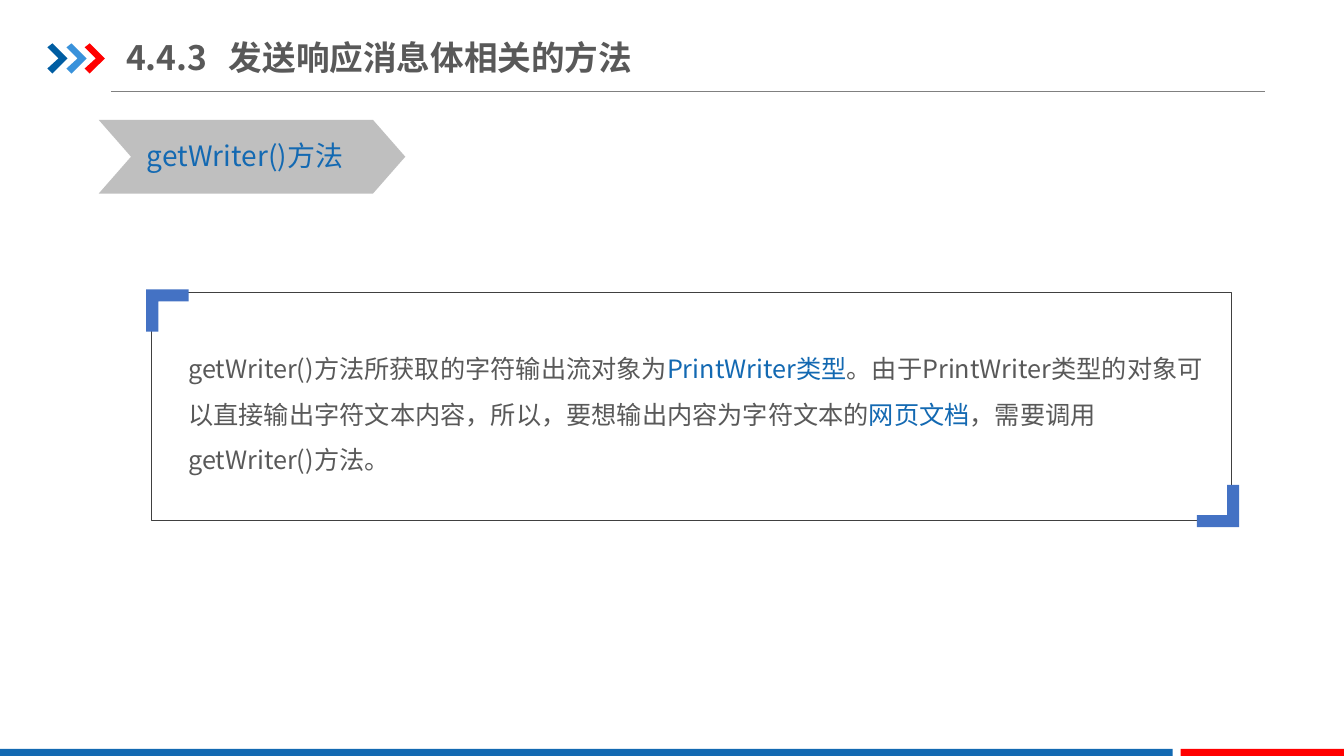
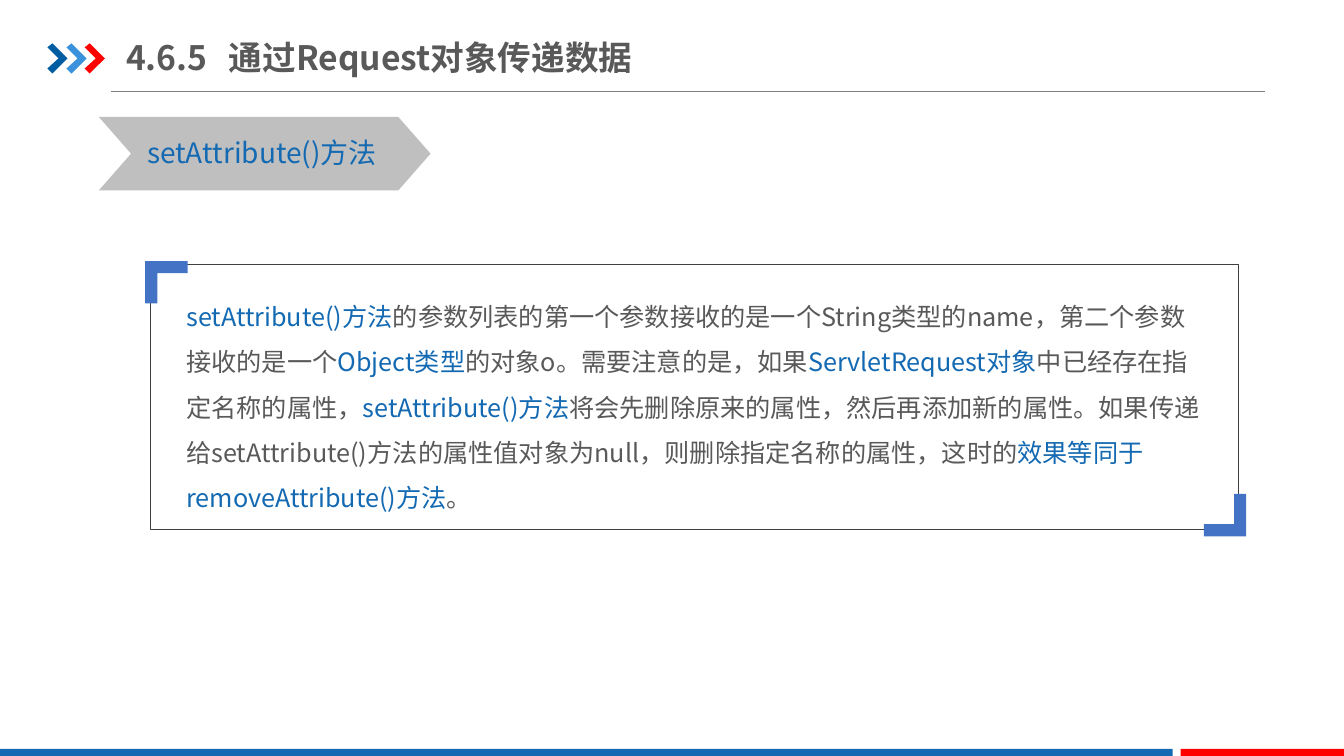
"""Build two method slides that share a title, a chevron label and a framed note."""
from dataclasses import dataclass
from typing import NamedTuple

from lxml.etree import SubElement as add_node
from pptx import Presentation
from pptx.dml.color import RGBColor
from pptx.enum.shapes import MSO_CONNECTOR as Link, MSO_SHAPE as Form
from pptx.enum.text import MSO_ANCHOR as Anchor, MSO_AUTO_SIZE as Fit, PP_ALIGN as Align
from pptx.oxml.ns import qn
from pptx.util import Pt

PX = 9144
FACE = "Noto Sans CJK SC"
BLUE = RGBColor(0x13, 0x69, 0xB2)
NAVY = RGBColor(0x00, 0x5D, 0xA2)
SKY = RGBColor(0x39, 0x92, 0xDB)
RED = RGBColor(0xFF, 0x00, 0x00)
ROYAL = RGBColor(0x44, 0x72, 0xC4)
TEXT = RGBColor(0x59, 0x59, 0x59)
FRAME = RGBColor(0x40, 0x40, 0x40)
RULE = RGBColor(0x80, 0x80, 0x80)
SILVER = RGBColor(0xBF, 0xBF, 0xBF)

ARROW = ((0, 4), (5, 0), (20, 15), (5, 30), (0, 25), (11, 15))
CORNER = ((0, 0), (42, 0), (42, 12), (12, 12), (12, 42), (0, 42))
MARKS = ((47, NAVY), (66, SKY), (84, RED))


class Box(NamedTuple):
    left: int
    top: int
    width: int
    height: int

    def emu(self) -> list[int]:
        return [side * PX for side in self]


BANDS = ((Box(0, 743, 1163, 9), BLUE), (Box(1171, 743, 163, 9), RED))
HEAD = Box(125, 29, 532, 55)


@dataclass(frozen=True)
class Page:
    title: str
    label: str
    tag: Box
    frame: Box
    body: Box
    note: str


PAGES = (
    Page(
        "4.4.3\t发送响应消息体相关的方法",
        "getWriter()方法",
        Box(98, 119, 304, 73),
        Box(150, 290, 1071, 226),
        Box(177, 331, 1030, 150),
        "getWriter()方法所获取的字符输出流对象为|PrintWriter类型|。由于PrintWriter类型的对象"
        "可以直接输出字符文本内容，所以，要想输出内容为字符文本的|网页文档|，需要调用getWriter()方法。",
    ),
    Page(
        "4.6.5\t通过Request对象传递数据",
        "setAttribute()方法",
        Box(98, 116, 329, 73),
        Box(149, 262, 1079, 263),
        Box(175, 279, 1030, 232),
        "|setAttribute()方法|的参数列表的第一个参数接收的是一个String类型的name，第二个参数接收的是一个"
        "|Object类型|的对象o。需要注意的是，如果|ServletRequest对象|中已经存在指定名称的属性，"
        "|setAttribute()方法|将会先删除原来的属性，然后再添加新的属性。如果传递给setAttribute()方法的"
        "属性值对象为null，则删除指定名称的属性，这时的|效果等同于removeAttribute()方法|。",
    ),
)


def paint(shape, fill: RGBColor) -> None:
    shape.shadow.inherit = False
    shape.fill.solid()
    shape.fill.fore_color.rgb = fill
    shape.line.fill.background()


def block(slide, form: Form, box: Box, fill: RGBColor):
    shape = slide.shapes.add_shape(form, *box.emu())
    paint(shape, fill)
    return shape


def outline(slide, left: int, top: int, points: tuple, fill: RGBColor, sign: int = 1) -> None:
    spots = [(left + sign * x, top + sign * y) for x, y in points]
    pen = slide.shapes.build_freeform(*spots[0], scale=PX)
    pen.add_line_segments(spots[1:], close=True)
    paint(pen.convert_to_shape(), fill)


def style(para, size: int, color: RGBColor, bold: bool = False) -> None:
    font = para.font
    font.size, font.bold, font.name = Pt(size), bold, FACE
    font.color.rgb = color
    base = para._p.get_or_add_pPr().find(qn("a:defRPr"))
    add_node(base, qn("a:ea"), typeface=FACE)


def text_box(slide, box: Box):
    frame = slide.shapes.add_textbox(*box.emu()).text_frame
    frame.word_wrap = True
    return frame.paragraphs[0]


def add_title(slide, text: str) -> None:
    title = slide.shapes.title
    title.left, title.top, title.width, title.height = HEAD.emu()
    frame = title.text_frame
    frame.text = text
    frame.word_wrap, frame.auto_size = True, Fit.NONE
    frame.vertical_anchor = Anchor.MIDDLE
    frame.margin_left = frame.margin_right = 0
    frame.margin_top = frame.margin_bottom = 7 * PX
    para = frame.paragraphs[0]
    para.alignment = Align.LEFT
    tabs = add_node(para._p.get_or_add_pPr(), qn("a:tabLst"))
    add_node(tabs, qn("a:tab"), pos=str(102 * PX), algn="l")
    style(para, 24, TEXT, True)


def add_base(slide) -> None:
    rule = slide.shapes.add_connector(Link.STRAIGHT, 110 * PX, 91 * PX, 1255 * PX, 91 * PX)
    rule.line.color.rgb, rule.line.width = RULE, Pt(0.5)
    add_node(rule._element.spPr, qn("a:effectLst"))
    for left, fill in MARKS:
        outline(slide, left, 43, ARROW, fill)
    for box, fill in BANDS:
        block(slide, Form.RECTANGLE, box, fill)


def add_label(slide, tag: Box, text: str) -> None:
    block(slide, Form.CHEVRON, tag, SILVER).adjustments[0] = 0.438
    para = text_box(slide, Box(tag.left + 38, tag.top + 14, tag.width - 70, 44))
    para.text = text
    style(para, 20, BLUE)


def add_note(slide, page: Page) -> None:
    box = page.frame
    edge = block(slide, Form.RECTANGLE, box, SILVER)
    edge.fill.background()
    edge.line.color.rgb, edge.line.width = FRAME, Pt(0.25)
    outline(slide, box.left - 5, box.top - 3, CORNER, ROYAL)
    outline(slide, box.left + box.width + 8, box.top + box.height + 7, CORNER, ROYAL, -1)
    para = text_box(slide, page.body)
    para.line_spacing = 1.5
    style(para, 18, TEXT)
    for spot, part in enumerate(page.note.split("|")):
        if part:
            run = para.add_run()
            run.text = part
            if spot % 2:
                run.font.color.rgb = BLUE


def main() -> None:
    deck = Presentation()
    deck.slide_width, deck.slide_height = 1333 * PX, 750 * PX
    for page in PAGES:
        slide = deck.slides.add_slide(deck.slide_layouts[5])
        add_base(slide)
        add_title(slide, page.title)
        add_label(slide, page.tag, page.label)
        add_note(slide, page)
    deck.save("out.pptx")


if __name__ == "__main__":
    main()
